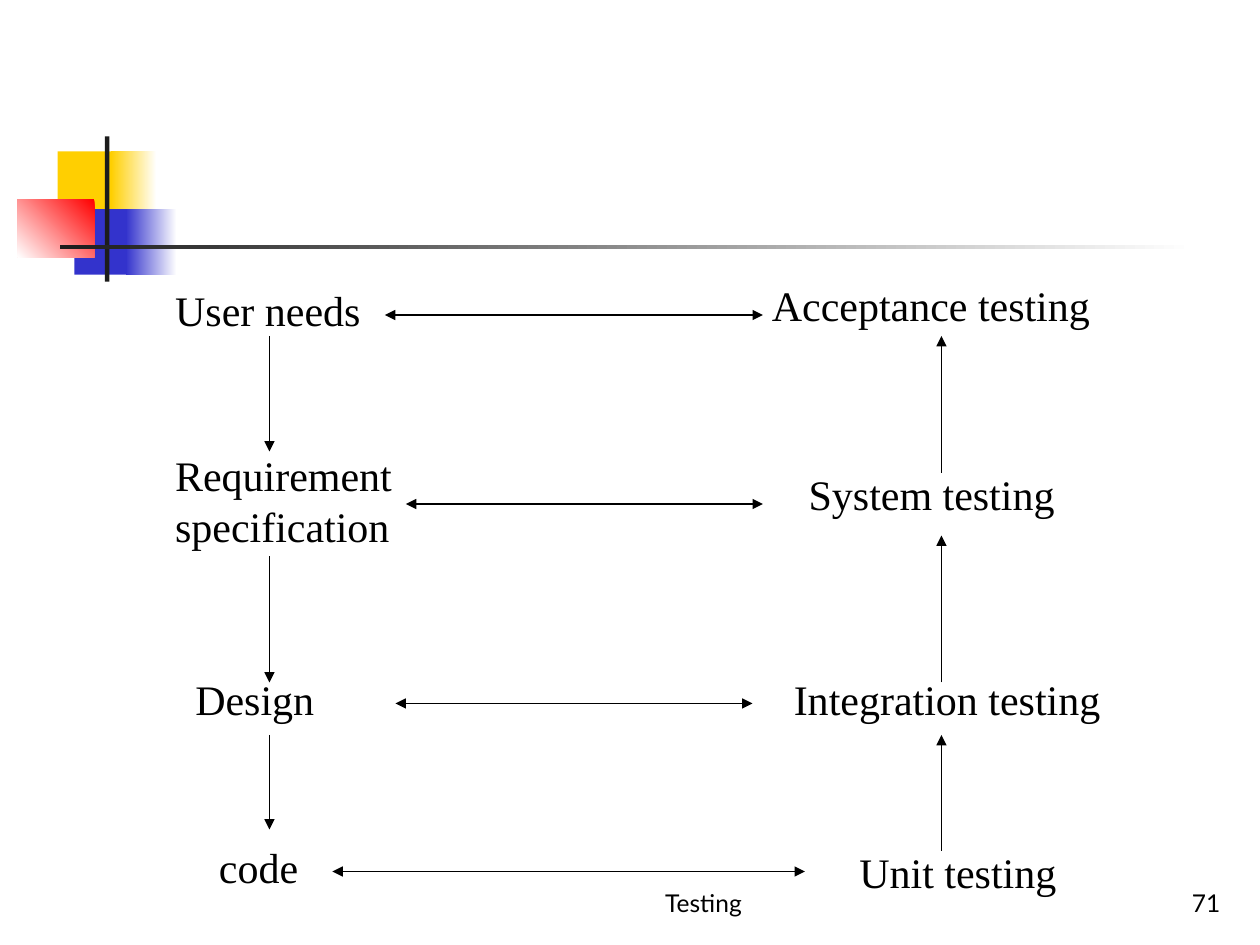
from pptx import Presentation
from pptx.dml.color import RGBColor
from pptx.enum.shapes import MSO_CONNECTOR, MSO_SHAPE
from pptx.enum.text import MSO_ANCHOR, MSO_AUTO_SIZE, PP_ALIGN
from pptx.oxml.ns import qn
from pptx.util import Pt
from lxml.etree import SubElement

WHITE = RGBColor(0xFF, 0xFF, 0xFF)
BLACK = RGBColor(0x00, 0x00, 0x00)
INK = RGBColor(0x1C, 0x1C, 0x1C)
GOLD = RGBColor(0xFF, 0xCF, 0x01)
BLUE = RGBColor(0x33, 0x33, 0xCC)
RED = RGBColor(0xFF, 0x00, 0x00)

ORNAMENT = [
    (23, 8.5, 34.5, 37.5, [GOLD], 0),
    (53.5, 8.5, 26, 37.5, [WHITE, GOLD], 180),
    (32.5, 41.5, 33, 37.5, [BLUE], 0),
    (62, 41.5, 29, 37.5, [WHITE, BLUE], 180),
    (0, 36, 44, 33, [RED, WHITE], 225),
    (50, 0, 2.5, 83, [INK], 0),
    (24.5, 62, 648, 2.5, [WHITE, INK], 180),
]
LEVELS = [
    (["User needs"], 0, 3, 120.5, 36),
    (["Requirement", "specification"], 0, 97.5, 138.5, 65),
    (["Design"], 11.5, 225.5, 82.5, 36),
    (["code"], 25, 321.5, 60, 36),
    (["Acceptance testing"], 341, 0, 196.5, 36),
    (["System testing"], 362, 108, 155, 36),
    (["Integration testing"], 353.5, 225.5, 189.5, 36),
    (["Unit testing"], 391, 324, 127, 36),
]
LINKS = [(127, 343, 24), (139, 343, 132), (133, 337, 246), (97, 367, 342)]
DOWN = [(36, 102), (162, 234), (264, 318)]
UP = [(330, 264), (234, 150), (114, 36)]
DOWN_X, UP_X = 61, 445


def add_block(slide, left, top, width, height, tones, angle):
    block = slide.shapes.add_shape(
        MSO_SHAPE.RECTANGLE, Pt(left), Pt(top), Pt(width), Pt(height))
    block.shadow.inherit = False
    block.line.fill.background()
    if len(tones) == 1:
        block.fill.solid()
        block.fill.fore_color.rgb = tones[0]
        return
    block.fill.gradient()
    block.fill.gradient_angle = angle
    for stop, tone in zip(block.fill.gradient_stops, tones):
        stop.color.rgb = tone


def add_text(slide, lines, left, top, width, height, font, size,
             align=PP_ALIGN.LEFT, anchor=MSO_ANCHOR.TOP, wrap=False):
    box = slide.shapes.add_textbox(Pt(left), Pt(top), Pt(width), Pt(height))
    frame = box.text_frame
    frame.word_wrap = wrap
    frame.auto_size = (MSO_AUTO_SIZE.NONE if wrap
                       else MSO_AUTO_SIZE.SHAPE_TO_FIT_TEXT)
    frame.vertical_anchor = anchor
    for i, line in enumerate(lines):
        para = frame.add_paragraph() if i else frame.paragraphs[0]
        para.alignment = align
        run = para.add_run()
        run.text = line
        run.font.name = font
        run.font.size = Pt(size)
        run.font.color.rgb = BLACK


def add_arrow(slide, x1, y1, x2, y2, ends=("tailEnd",)):
    arrow = slide.shapes.add_connector(
        MSO_CONNECTOR.STRAIGHT, Pt(x1), Pt(y1), Pt(x2), Pt(y2))
    arrow.line.color.rgb = BLACK
    arrow.line.width = Pt(0.75)
    props = arrow.line._get_or_add_ln()
    for end in ends:
        SubElement(props, qn(f"a:{end}"), type="triangle")
    SubElement(arrow._element.spPr, qn("a:effectLst"))


def draw_ornament(slide, left, top):
    for x, y, width, height, tones, angle in ORNAMENT:
        add_block(slide, left + x, top + y, width, height, tones, angle)


def draw_model(slide, left, top):
    for lines, x, y, width, height in LEVELS:
        add_text(slide, lines, left + x, top + y, width, height,
                 "Times New Roman", 24)
    for start, end, y in LINKS:
        add_arrow(slide, left + start, top + y, left + end, top + y,
                  ("headEnd", "tailEnd"))
    for x, spans in ((DOWN_X, DOWN), (UP_X, UP)):
        for start, end in spans:
            add_arrow(slide, left + x, top + start, left + x, top + end)


def draw_footer(slide, left, top, height):
    for text, x, width, align in (
            ("Testing", 0, 228, PP_ALIGN.CENTER),
            ("71", 266.5, 150, PP_ALIGN.RIGHT)):
        add_text(slide, [text], left + x, top, width, height, "Lato", 14,
                 align, MSO_ANCHOR.BOTTOM, True)


def main():
    deck = Presentation()
    deck.slide_width, deck.slide_height = Pt(720), Pt(540)
    slide = deck.slides.add_slide(deck.slide_layouts[6])
    draw_ornament(slide, 10, 78)
    draw_model(slide, 93, 156)
    draw_footer(slide, 288, 491.75, 36)
    deck.save("out.pptx")


if __name__ == "__main__":
    main()
